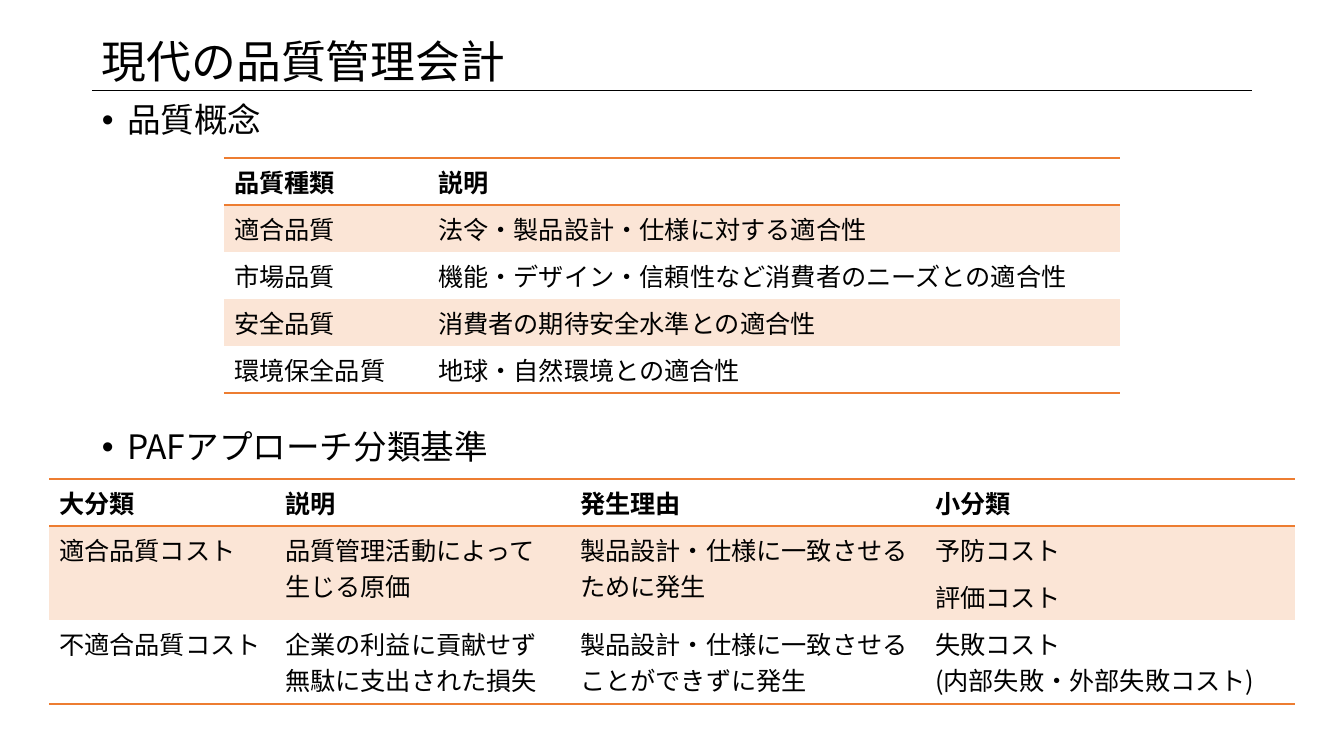
import pptx
import pptx.util
import pptx.dml.color
import pptx.enum.shapes
import pptx.enum.text
import pptx.oxml
import pptx.oxml.ns

TITLE = "現代の品質管理会計"
HEADINGS = [("品質概念", 99), ("PAFアプローチ分類基準", 426)]
QUALITY = {
    "left": 224, "top": 158,
    "cols": [204, 692], "rows": [47] * 5,
    "cells": [
        ["品質種類", "説明"],
        ["適合品質", "法令・製品設計・仕様に対する適合性"],
        ["市場品質", "機能・デザイン・信頼性など消費者のニーズとの適合性"],
        ["安全品質", "消費者の期待安全水準との適合性"],
        ["環境保全品質", "地球・自然環境との適合性"],
    ],
    "shaded": [1, 3], "merged": [],
}
PAF = {
    "left": 49, "top": 479,
    "cols": [226, 295, 355, 370], "rows": [47, 47, 47, 84],
    "cells": [
        ["大分類", "説明", "発生理由", "小分類"],
        ["適合品質コスト", "品質管理活動によって生じる原価",
         "製品設計・仕様に一致させるために発生", "予防コスト"],
        ["", "", "", "評価コスト"],
        ["不適合品質コスト", "企業の利益に貢献せず無駄に支出された損失",
         "製品設計・仕様に一致させることができずに発生",
         "失敗コスト\n(内部失敗・外部失敗コスト)"],
    ],
    "shaded": [1, 2], "merged": [0, 1, 2],
}

FONT = "Noto Sans CJK JP"
BLACK = pptx.dml.color.RGBColor(0x00, 0x00, 0x00)
ORANGE = pptx.dml.color.RGBColor(0xED, 0x7D, 0x31)
PEACH = pptx.dml.color.RGBColor(0xFB, 0xE5, 0xD6)
NO_STYLE = "{2D5ABB26-0587-4C30-8999-92F81FD0307C}"
NS = pptx.oxml.ns.nsdecls("a")
LEFT, WIDTH, RULE_TOP = 92, 1160, 90


def px(n):
    return pptx.util.Emu(round(n * 914400 / 100.8))


def style(tf, size, bold=False):
    for p in tf.paragraphs:
        for r in p.runs:
            r.font.size = pptx.util.Pt(size)
            r.font.bold = bold
            r.font.name = FONT
            r.font.color.rgb = BLACK
            r.font._element.append(
                pptx.oxml.parse_xml(f'<a:ea {NS} typeface="{FONT}"/>'))


def add_text(slide, text, top, size):
    tf = slide.shapes.add_textbox(px(LEFT), px(top), px(WIDTH), px(48)).text_frame
    tf.word_wrap = True
    tf.text = text
    tf.paragraphs[0].line_spacing = 0.9
    style(tf, size)
    return tf


def add_bullet(p):
    pPr = p._p.get_or_add_pPr()
    pPr.set("marL", "228600")
    pPr.set("indent", "-228600")
    pPr.append(pptx.oxml.parse_xml(f'<a:buFont {NS} typeface="Arial"/>'))
    pPr.append(pptx.oxml.parse_xml(f'<a:buChar {NS} char="•"/>'))


def add_border(cell, side):
    cell._tc.get_or_add_tcPr().append(pptx.oxml.parse_xml(
        f'<a:{side} {NS} w="12700"><a:solidFill><a:srgbClr val="{ORANGE}"/>'
        f'</a:solidFill></a:{side}>'))


def add_table(slide, data):
    cols, rows = data["cols"], data["rows"]
    table = slide.shapes.add_table(
        len(rows), len(cols), px(data["left"]), px(data["top"]),
        px(sum(cols)), px(sum(rows))).table
    table.horz_banding = False
    table._tbl.tblPr.find(pptx.oxml.ns.qn("a:tableStyleId")).text = NO_STYLE
    for column, width in zip(table.columns, cols):
        column.width = px(width)
    for row, height in zip(table.rows, rows):
        row.height = px(height)
    for c in data["merged"]:
        table.cell(1, c).merge(table.cell(2, c))
    for i, texts in enumerate(data["cells"]):
        for j, text in enumerate(texts):
            cell = table.cell(i, j)
            cell.text_frame.text = text
            style(cell.text_frame, 18, bold=i == 0)
            if i == 0:
                add_border(cell, "lnT")
            if i in (0, len(rows) - 1):
                add_border(cell, "lnB")
            if i in data["shaded"]:
                cell.fill.solid()
                cell.fill.fore_color.rgb = PEACH
            else:
                cell.fill.background()


def main():
    prs = pptx.Presentation()
    prs.slide_width, prs.slide_height = px(1344), px(756)
    slide = prs.slides.add_slide(prs.slide_layouts[6])

    tf = add_text(slide, TITLE, 40, 32)
    tf.vertical_anchor = pptx.enum.text.MSO_ANCHOR.MIDDLE
    for text, top in HEADINGS:
        add_bullet(add_text(slide, text, top, 24).paragraphs[0])

    rule = slide.shapes.add_connector(
        pptx.enum.shapes.MSO_CONNECTOR.STRAIGHT,
        px(LEFT), px(RULE_TOP), px(LEFT + WIDTH), px(RULE_TOP))
    rule.line.color.rgb = BLACK
    rule.line.width = pptx.util.Pt(0.5)
    rule._element.spPr.append(pptx.oxml.parse_xml(f'<a:effectLst {NS}/>'))

    for data in (QUALITY, PAF):
        add_table(slide, data)
    prs.save("out.pptx")


if __name__ == "__main__":
    main()
